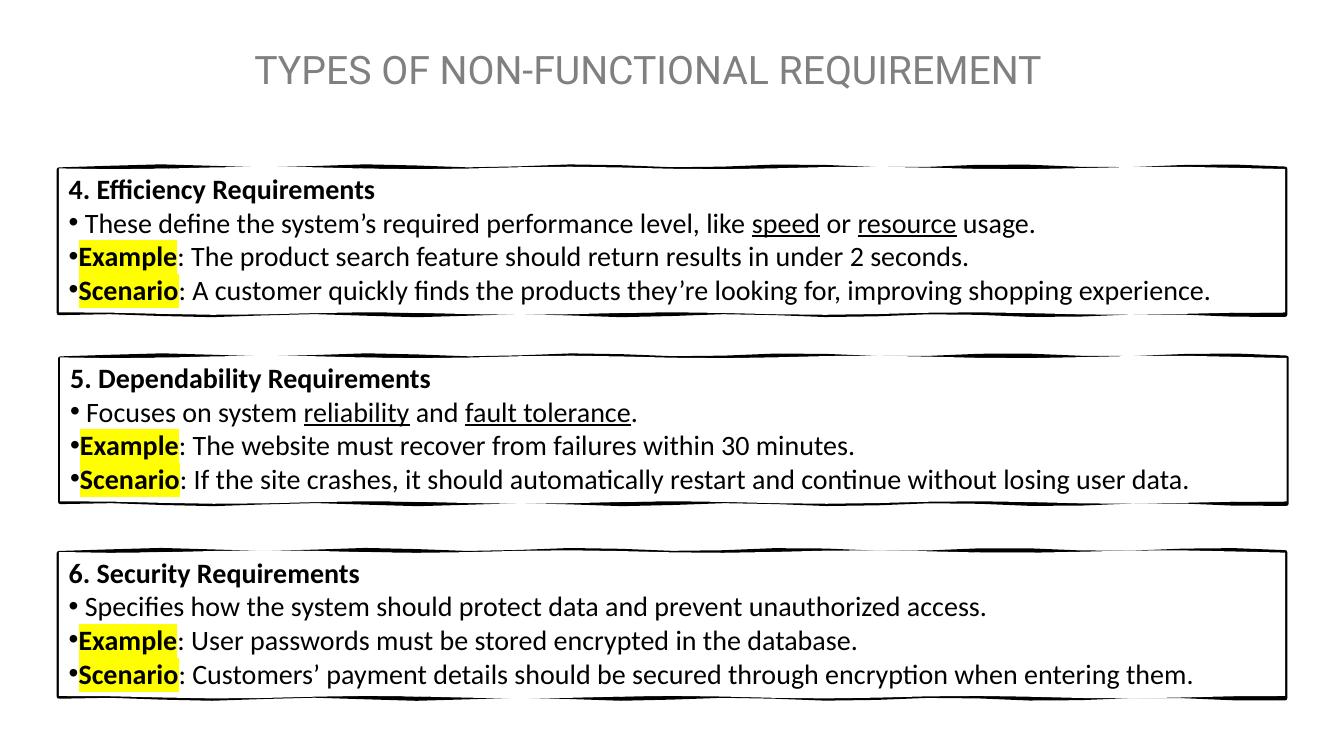
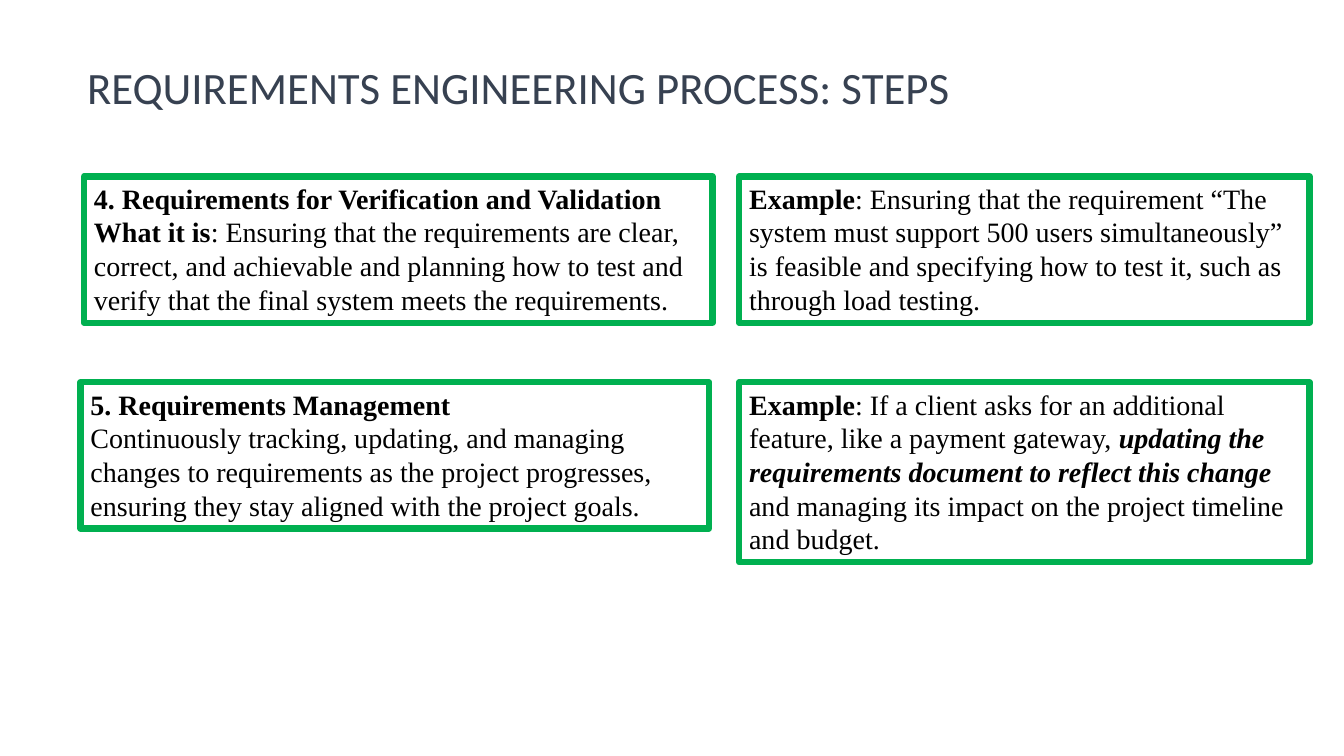
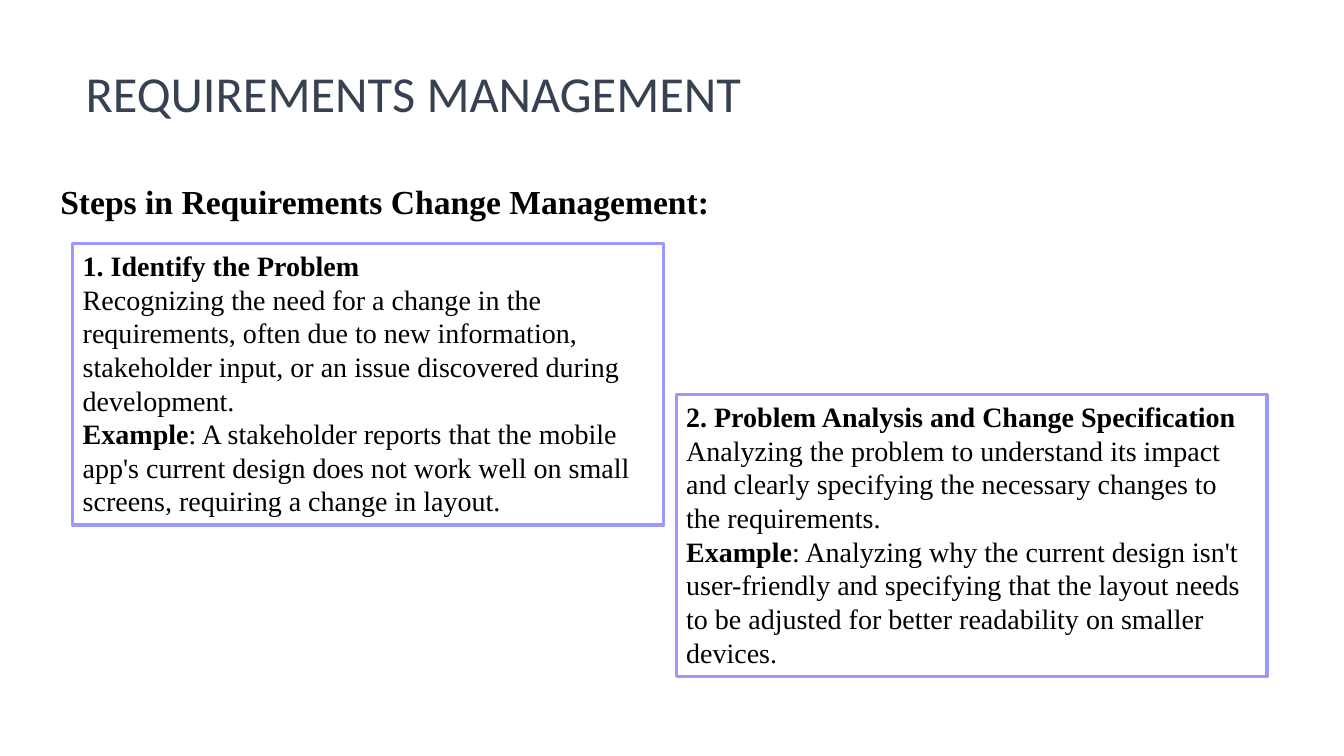
from math import cos

from lxml import etree
from pptx import Presentation
from pptx.dml.color import RGBColor
from pptx.enum import shapes, text
from pptx.oxml.ns import qn
from pptx.util import Pt

HUES = {
    "ink": "000000",
    "paper": "FFFFFF",
    "grey": "808080",
    "slate": "374151",
    "green": "00B050",
    "lilac": "9999FF",
    "mark": "FFFF00",
}
RGB = {name: RGBColor.from_string(code) for name, code in HUES.items()}
SERIF = "Times New Roman"


def write(frame, paras, face, size, hue="ink"):
    """Fill a frame; style letters: b bold, i italic, u underline, h highlight, * bullet."""
    frame.word_wrap = True
    frame.auto_size = text.MSO_AUTO_SIZE.NONE
    frame.vertical_anchor = text.MSO_ANCHOR.TOP
    for num, runs in enumerate(paras):
        para = frame.add_paragraph() if num else frame.paragraphs[0]
        para.alignment = text.PP_ALIGN.LEFT
        if "*" in runs[0][1]:
            props = para._p.get_or_add_pPr()
            props.set("marL", "0")
            props.set("indent", "0")
            etree.SubElement(props, qn("a:buFont")).set("typeface", "Arial")
            etree.SubElement(props, qn("a:buChar")).set("char", "•")
        for words, style in runs:
            run = para.add_run()
            run.text = words
            font = run.font
            font.size = Pt(size)
            font.bold = "b" in style
            font.italic = "i" in style
            font.underline = "u" in style
            font.color.rgb = RGB[hue]
            if "h" in style:
                mark = etree.SubElement(run._r.get_or_add_rPr(), qn("a:highlight"))
                etree.SubElement(mark, qn("a:srgbClr")).set("val", HUES["mark"])
            font.name = face


def start(words, area, face, size, hue):
    """Add a slide with its title."""
    slide = deck.slides.add_slide(deck.slide_layouts[5])
    head = slide.shapes.title
    head.left, head.top, head.width, head.height = map(Pt, area)
    write(head.text_frame, [[(words, "")]], face, size, hue)
    head.text_frame.vertical_anchor = text.MSO_ANCHOR.MIDDLE
    head.text_frame.paragraphs[0].line_spacing = 0.9
    return slide


deck = Presentation()
deck.slide_width, deck.slide_height = Pt(960), Pt(540)

# Non-functional requirements: three hand-drawn frames
types = start("TYPES OF NON-FUNCTIONAL REQUIREMENT", (174.5, 18, 642, 66),
              "Roboto", 28, "grey")
WIDE, HIGH, PARTS = 876, 104, 24
CARDS = [
    (42, 120, "4. Efficiency Requirements",
     [(" These define the system’s required performance level, like ", "*"),
      ("speed", "u"), (" or ", ""), ("resource", "u"), (" usage.", "")],
     ": The product search feature should return results in under 2 seconds.",
     ": A customer quickly finds the products they’re looking for, improving shopping experience."),
    (43, 255, "5. Dependability Requirements",
     [(" Focuses on system ", "*"), ("reliability", "u"), (" and ", ""),
      ("fault tolerance", "u"), (".", "")],
     ": The website must recover from failures within 30 minutes.",
     ": If the site crashes, it should automatically restart and continue without losing user data."),
    (42, 394, "6. Security Requirements",
     [(" Specifies how the system should protect data and prevent unauthorized access.", "*")],
     ": User passwords must be stored encrypted in the database.",
     ": Customers’ payment details should be secured through encryption when entering them."),
]
for left, top, name, about, sample, story in CARDS:
    # A wavy stroke, partly covered by a wavy sheet, gives a brush-like line
    for size, wave in ((1.1, 24), (-0.9, 34)):
        steps = [WIDE * part / PARTS for part in range(PARTS + 1)]
        upper = [(left + x, top + size * cos((x - 148) / wave)) for x in steps]
        lower = [(left + x, top + HIGH - size * cos((x - 331) / wave)) for x in steps]
        ring = [(Pt(x), Pt(y)) for x, y in upper + lower[::-1]]
        pen = types.shapes.build_freeform(*ring[0])
        pen.add_line_segments(ring[1:], close=True)
        sheet = pen.convert_to_shape()
        sheet.shadow.inherit = False
        if size > 0:
            sheet.fill.background()
            sheet.line.color.rgb = RGB["ink"]
            sheet.line.width = Pt(3)
        else:
            sheet.fill.solid()
            sheet.fill.fore_color.rgb = RGB["paper"]
            sheet.line.fill.background()
    write(sheet.text_frame, [
        [(name, "b")],
        about,
        [("Example", "bh*"), (sample, "")],
        [("Scenario", "bh*"), (story, "")],
    ], "Calibri", 20)

# Process steps and change management: outlined boxes
steps = start("REQUIREMENTS ENGINEERING PROCESS: STEPS", (55, 31, 857.5, 66),
              "Calibri", 32, "slate")
change = start("REQUIREMENTS MANAGEMENT", (54, 36, 768, 66), "Calibri", 36, "slate")
note = change.shapes.add_textbox(Pt(36), Pt(126), Pt(482), Pt(36.5))
write(note.text_frame, [[("Steps in Requirements Change Management:", "b")]], SERIF, 24)

GREEN = (steps, "green", 4.5)
LILAC = (change, "lilac", 2.25)
BOXES = [
    (GREEN, (60, 126, 449, 104.5), [
        [("4. Requirements for Verification and Validation", "b")],
        [("What it is", "b"),
         (": Ensuring that the requirements are clear, correct, and achievable and planning "
          "how to test and verify that the final system meets the requirements.", "")]]),
    (GREEN, (528, 126, 407.5, 104.5), [
        [("Example", "b"),
         (": Ensuring that the requirement “The system must support 500 users simultaneously” "
          "is feasible and specifying how to test it, such as through load testing.", "")]]),
    (GREEN, (57.5, 273, 449, 104.5), [
        [("5. Requirements Management", "b")],
        [("Continuously tracking, updating, and managing changes to requirements as the "
          "project progresses, ensuring they stay aligned with the project goals.", "")]]),
    (GREEN, (528, 273, 407.5, 128.5), [
        [("Example", "b"),
         (": If a client asks for an additional feature, like a payment gateway, ", ""),
         ("updating the requirements document to reflect this change ", "bi"),
         ("and managing its impact on the project timeline and budget.", "")]]),
    (LILAC, (52, 174, 422, 201), [
        [("1. Identify the Problem", "b")],
        [("Recognizing the need for a change in the requirements, often due to new "
          "information, stakeholder input, or an issue discovered during development.", "")],
        [("Example", "b"),
         (": A stakeholder reports that the mobile app's current design does not work well "
          "on small screens, requiring a change in layout.", "")]]),
    (LILAC, (483, 282, 422, 201), [
        [("2. Problem Analysis and Change Specification", "b")],
        [("Analyzing the problem to understand its impact and clearly specifying the "
          "necessary changes to the requirements.", "")],
        [("Example", "b"),
         (": Analyzing why the current design isn't user-friendly and specifying that the "
          "layout needs to be adjusted for better readability on smaller devices.", "")]]),
]
for (slide, hue, weight), area, paras in BOXES:
    box = slide.shapes.add_shape(shapes.MSO_SHAPE.RECTANGLE, *map(Pt, area))
    box.shadow.inherit = False
    box.fill.background()
    box.line.color.rgb = RGB[hue]
    box.line.width = Pt(weight)
    write(box.text_frame, paras, SERIF, 20)

deck.save("out.pptx")
